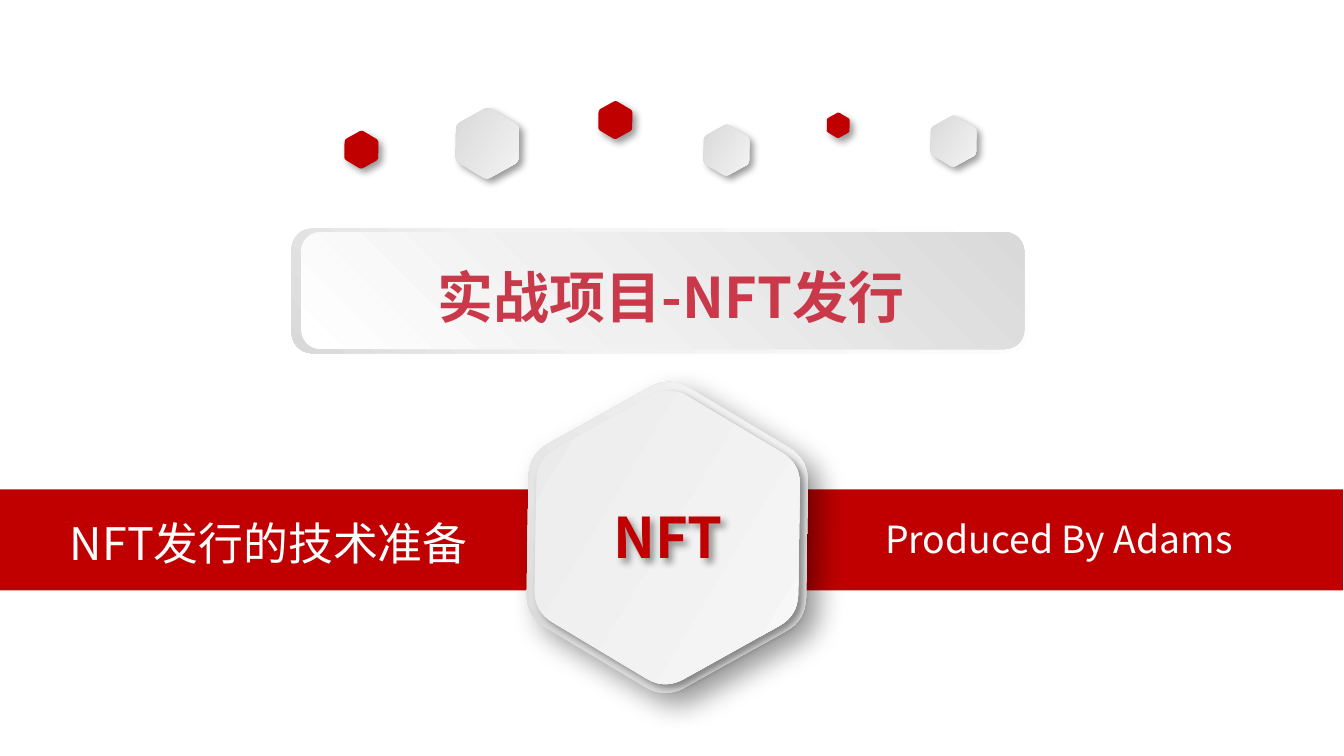
"""Build the NFT issuance title slide with its hexagons, title panel and red band."""
from math import cos, pi, sin

from lxml.etree import SubElement
from pptx import Presentation
from pptx.dml.color import RGBColor
from pptx.enum.shapes import MSO_SHAPE as Shape
from pptx.enum.text import MSO_ANCHOR as Anchor, PP_ALIGN as Align
from pptx.oxml import parse_xml
from pptx.oxml.ns import nsdecls, qn
from pptx.util import Cm, Pt

FONT = "Noto Sans CJK SC"
RED = "C00000"
SILVER = [(0, "D3D3D3"), (100, "F9F9F9")]
PEARL = [(0, "E9E9E9"), (100, "F9F9F9")]
SOFT, DEEP = (4, 3), (15, 9)


def style(shape, fill=None, angle=0, shadow=None):
    """Set a plain or gradient fill, no outline and an optional shadow."""
    shape.line.fill.background()
    shape.shadow.inherit = False
    if fill is None:
        shape.fill.background()
    elif isinstance(fill, str):
        shape.fill.solid()
        shape.fill.fore_color.rgb = RGBColor.from_string(fill)
    else:
        shape.fill.gradient()
        shape.fill.gradient_angle = -angle % 360
        stops = shape._element.spPr.find(qn("a:gradFill")).find(qn("a:gsLst"))
        for stop in list(stops):
            stops.remove(stop)
        for position, color in fill:
            stop = SubElement(stops, qn("a:gs"), pos=str(position * 1000))
            SubElement(stop, qn("a:srgbClr"), val=color)
    if shadow:
        blur, distance = shadow
        shape._element.spPr.find(qn("a:effectLst")).append(parse_xml(
            f'<a:outerShdw {nsdecls("a")} blurRad="{Pt(blur)}" dist="{Pt(distance)}" '
            'dir="2700000" algn="tl" rotWithShape="0"><a:srgbClr val="000000">'
            '<a:alpha val="40000"/></a:srgbClr></a:outerShdw>'))


def write(shape, text, size, color, bold=False, align=Align.CENTER, anchor=Anchor.TOP):
    """Write one formatted run into a shape."""
    frame = shape.text_frame
    frame.word_wrap = True
    frame.vertical_anchor = anchor
    paragraph = frame.paragraphs[0]
    paragraph.alignment = align
    run = paragraph.add_run()
    run.text = text
    run.font.size = Pt(size)
    run.font.bold = bold
    run.font.name = FONT
    run.font.color.rgb = RGBColor.from_string(color)
    SubElement(run.font._element, qn("a:ea"), typeface=FONT)


presentation = Presentation()
presentation.slide_width, presentation.slide_height = Cm(25.4), Cm(14.29)
slide = presentation.slides.add_slide(presentation.slide_layouts[6])
shapes = slide.shapes

band = shapes.add_shape(Shape.RECTANGLE, Cm(-0.02), Cm(9.25), Cm(25.4), Cm(1.91))
style(band, RED)

for text, size, align, left, width, height in [
    ("NFT发行的技术准备", 24, Align.CENTER, 0.61, 8.94, 1.28),
    ("Produced By Adams", 20, Align.LEFT, 16.48, 8.9, 1.11),
]:
    label = shapes.add_textbox(Cm(left), Cm(9.63), Cm(width), Cm(height))
    write(label, text, size, "FFFFFF", align=align)

for center_x, center_y, height, fill, angle, shadow in [
    (9.21, 2.71, 1.19, SILVER, 0, SOFT),
    (11.63, 2.27, 0.64, RED, 0, SOFT),
    (6.83, 2.83, 0.64, RED, 0, SOFT),
    (13.73, 2.84, 0.86, SILVER, 0, SOFT),
    (15.84, 2.37, 0.43, RED, 0, SOFT),
    (18.02, 2.67, 0.86, SILVER, 0, SOFT),
    (12.61, 10.16, 5.28, SILVER, 270, DEEP),
    (12.61, 10.16, 4.98, PEARL, 0, SOFT),
]:
    radius = height / 2 / cos(pi / 6)
    corners = [(center_x + radius * cos(k * pi / 3), center_y + radius * sin(k * pi / 3))
               for k in range(6)]
    outline = []
    for k, corner in enumerate(corners):
        before, after = corners[k - 1], corners[(k + 1) % 6]
        for step in range(9):
            t = step / 8
            outline.append(tuple(
                Cm(c + 0.14 * ((1 - t) ** 2 * (b - c) + t ** 2 * (a - c)))
                for b, c, a in zip(before, corner, after)))
    builder = shapes.build_freeform(*outline[0])
    builder.add_line_segments(outline[1:], close=True)
    hexagon = builder.convert_to_shape()
    hexagon.rotation = 30.9
    style(hexagon, fill, angle, shadow)

for left, top, width, height, middle, angle in [
    (5.51, 4.32, 13.92, 2.36, (62, "F2F2F2"), 135),
    (5.69, 4.39, 13.67, 2.21, (42, "F0F0F0"), 315),
]:
    panel = shapes.add_shape(Shape.ROUNDED_RECTANGLE, Cm(left), Cm(top), Cm(width), Cm(height))
    style(panel, [(0, "FFFFFF"), middle, (100, "D9D9D9")], angle)

title = shapes.add_textbox(Cm(5.72), Cm(4.83), Cm(13.92), Cm(1.52))
write(title, "实战项目-NFT发行", 30, "C9394A", bold=True)

badge = shapes.add_shape(Shape.ROUNDED_RECTANGLE, Cm(10.13), Cm(9.5), Cm(5), Cm(1.27))
style(badge, shadow=SOFT)
write(badge, "NFT", 30, RED, bold=True, anchor=Anchor.MIDDLE)

presentation.save("out.pptx")
